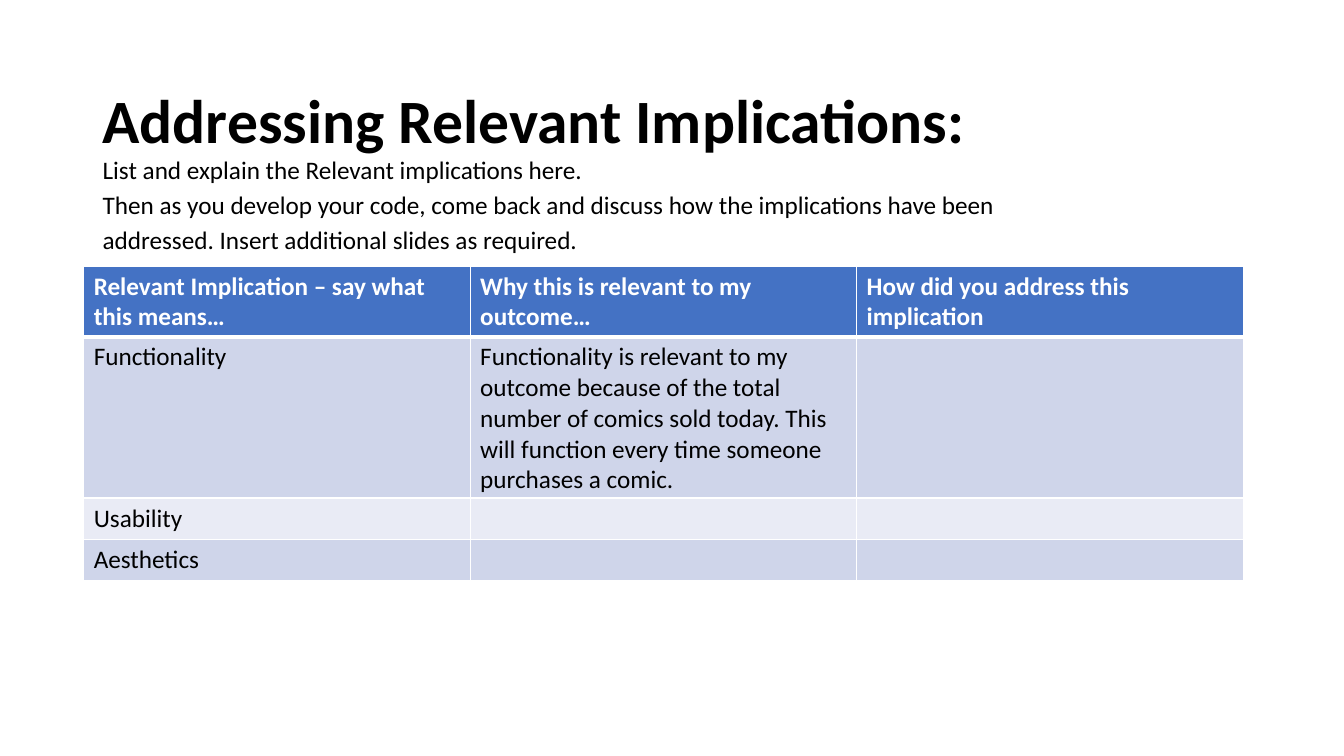
"""Build the slide on addressing relevant implications."""
from dataclasses import dataclass

from lxml import etree
from pptx import Presentation
from pptx import util as u
from pptx.dml.color import RGBColor
from pptx.enum import text
from pptx.oxml import ns

COLOURS = {
    "ink": "000000",
    "white": "FFFFFF",
    "header": "4472C4",
    "band_dark": "CFD5EA",
    "band_light": "E9EBF5",
}
FONT = "Calibri"
BODY_SIZE = 18
TABLE_LEFT, TABLE_TOP, TABLE_WIDTH, TABLE_HEIGHT = 0.83, 2.64, 11.5, 3.11
ROW_HEIGHT = 0.41


@dataclass(frozen=True)
class TextBlock:
    left: float
    top: float
    width: float
    height: float
    paragraphs: tuple[str, ...]
    size: int = BODY_SIZE
    bold: bool = False
    anchor: text.MSO_ANCHOR = text.MSO_ANCHOR.TOP


@dataclass(frozen=True)
class TableRow:
    cells: tuple[str, str, str]
    fill: str
    colour: str = "ink"
    bold: bool = False
    top_border: int = 1
    bottom_border: int = 1


TEXT_BLOCKS = (
    TextBlock(0.92, 0.4, 11.5, 1.45, ("Addressing Relevant Implications:",),
              size=44, bold=True, anchor=text.MSO_ANCHOR.MIDDLE),
    TextBlock(0.92, 1.44, 9.83, 1.12, (
        "List and explain the Relevant implications here.",
        "Then as you develop your code, come back and discuss how the implications "
        "have been addressed. Insert additional slides as required.",
    )),
)
TABLE_ROWS = (
    TableRow(("Relevant Implication – say what this means…",
              "Why this is relevant to my outcome…",
              "How did you address this implication"),
             "header", colour="white", bold=True, bottom_border=3),
    TableRow(("Functionality",
              "Functionality is relevant to my outcome because of the total number of "
              "comics sold today. This will function every time someone purchases a comic.",
              ""), "band_dark", top_border=3),
    TableRow(("Usability", "", ""), "band_light"),
    TableRow(("Aesthetics", "", ""), "band_dark"),
)


def add_run(paragraph, wording: str, size: int, colour: str, bold: bool) -> None:
    run = paragraph.add_run()
    run.text = wording
    run.font.name = FONT
    run.font.size = u.Pt(size)
    run.font.bold = bold
    run.font.color.rgb = RGBColor.from_string(COLOURS[colour])


def add_text_block(slide, block: TextBlock) -> None:
    shape = slide.shapes.add_textbox(u.Inches(block.left), u.Inches(block.top),
                                     u.Inches(block.width), u.Inches(block.height))
    frame = shape.text_frame
    frame.word_wrap = True
    frame.vertical_anchor = block.anchor
    for index, wording in enumerate(block.paragraphs):
        paragraph = frame.add_paragraph() if index else frame.paragraphs[0]
        paragraph.line_spacing = 1.15
        add_run(paragraph, wording, block.size, "ink", block.bold)


def set_borders(cell, top: int, bottom: int) -> None:
    properties = cell._tc.get_or_add_tcPr()
    for side, width in (("L", 1), ("R", 1), ("T", top), ("B", bottom)):
        line = etree.SubElement(properties, ns.qn(f"a:ln{side}"), w=str(u.Pt(width)))
        fill = etree.SubElement(line, ns.qn("a:solidFill"))
        etree.SubElement(fill, ns.qn("a:srgbClr"), val=COLOURS["white"])


def add_implications_table(slide, rows: tuple[TableRow, ...]) -> None:
    shape = slide.shapes.add_table(len(rows), len(rows[0].cells),
                                   u.Inches(TABLE_LEFT), u.Inches(TABLE_TOP),
                                   u.Inches(TABLE_WIDTH), u.Inches(TABLE_HEIGHT))
    for table_row, row in zip(shape.table.rows, rows):
        table_row.height = u.Inches(ROW_HEIGHT)
        for cell, wording in zip(table_row.cells, row.cells):
            set_borders(cell, row.top_border, row.bottom_border)
            cell.fill.solid()
            cell.fill.fore_color.rgb = RGBColor.from_string(COLOURS[row.fill])
            if wording:
                add_run(cell.text_frame.paragraphs[0], wording, BODY_SIZE,
                        row.colour, row.bold)
    shape.height = u.Inches(TABLE_HEIGHT)


def main() -> None:
    presentation = Presentation()
    presentation.slide_width = u.Inches(13.33)
    presentation.slide_height = u.Inches(7.5)
    slide = presentation.slides.add_slide(presentation.slide_layouts[6])
    for block in TEXT_BLOCKS:
        add_text_block(slide, block)
    add_implications_table(slide, TABLE_ROWS)
    presentation.save("out.pptx")


if __name__ == "__main__":
    main()
